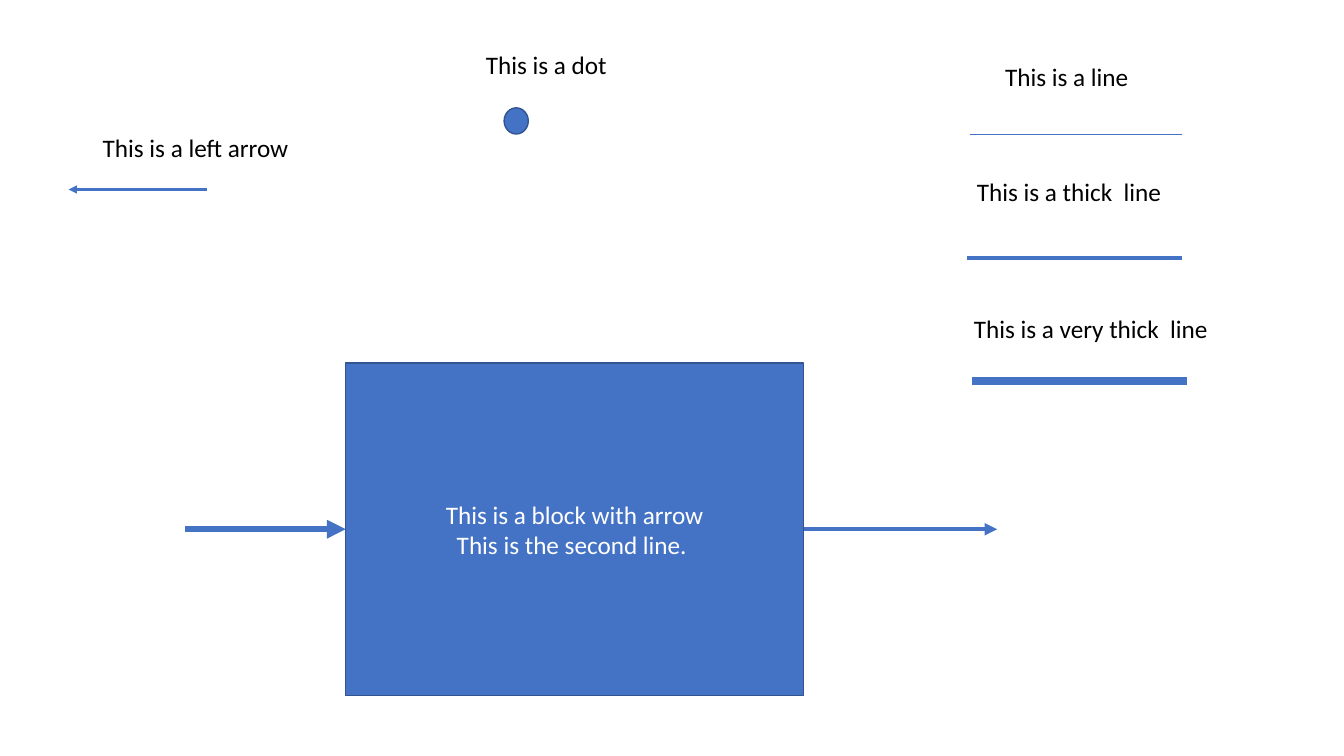
"""Builds a slide of labelled basic shapes: dot, lines, arrows and a block."""
from lxml.etree import SubElement
from pptx import Presentation
from pptx.dml.color import RGBColor
from pptx.enum.shapes import MSO_CONNECTOR, MSO_SHAPE
from pptx.enum.text import MSO_ANCHOR, MSO_AUTO_SIZE, PP_ALIGN
from pptx.oxml.ns import qn
from pptx.util import Inches, Pt

BLUE, EDGE, WHITE, BLACK = "4472C4", "325491", "FFFFFF", "000000"
BLOCK = (3.43, 3.6, 4.54, 3.3)
DOT = (5, 1.07, 0.24, 0.26)
BLOCK_TEXT = ["This is a block with arrow", "This is the second line. "]
LABELS = [
    ("This is a dot", 4.72, 0.44, 1.47),
    ("This is a line", 9.87, 0.56, 1.5),
    ("This is a thick  line", 9.59, 1.7, 2.11),
    ("This is a very thick  line", 9.56, 3.06, 2.61),
    ("This is a left arrow", 0.92, 1.26, 2.13),
]
LINES = [
    (9.62, 11.72, 1.33, 0.5),
    (9.59, 11.72, 2.56, 2.25),
    (9.64, 11.77, 3.78, 6),
]
LEFT_ARROW = (2.05, 0.68, 1.88, 1.5)
IN_ARROW = (1.84, 3.43, 5.25, 4.5)
OUT_ARROW = (7.97, 9.89, 5.25, 3)


def color(code):
    return RGBColor.from_string(code)


def write(frame, texts, code, align):
    for i, text in enumerate(texts):
        para = frame.paragraphs[0] if i == 0 else frame.add_paragraph()
        para.text = text
        para.alignment = align
        para.font.name = "Calibri"
        para.font.size = Pt(18)
        para.font.color.rgb = color(code)


def add_solid(slide, kind, box):
    shape = slide.shapes.add_shape(kind, *map(Inches, box))
    shape.shadow.inherit = False
    shape.fill.solid()
    shape.fill.fore_color.rgb = color(BLUE)
    shape.line.color.rgb = color(EDGE)
    shape.line.width = Pt(1)
    return shape


def add_line(slide, start, end, y, width, arrow=False):
    line = slide.shapes.add_connector(
        MSO_CONNECTOR.STRAIGHT, Inches(start), Inches(y), Inches(end), Inches(y))
    line.line.color.rgb = color(BLUE)
    line.line.width = Pt(width)
    props = line._element.spPr
    if arrow:
        SubElement(props.find(qn("a:ln")), qn("a:tailEnd"), type="triangle")
    SubElement(props, qn("a:effectLst"))
    return line


def add_label(slide, text, left, top, width):
    box = slide.shapes.add_textbox(*map(Inches, (left, top, width, 0.4)))
    frame = box.text_frame
    frame.word_wrap = False
    frame.auto_size = MSO_AUTO_SIZE.SHAPE_TO_FIT_TEXT
    write(frame, [text], BLACK, PP_ALIGN.LEFT)


def main():
    deck = Presentation()
    deck.slide_width, deck.slide_height = Inches(13.33), Inches(7.5)
    slide = deck.slides.add_slide(deck.slide_layouts[6])

    block = add_solid(slide, MSO_SHAPE.RECTANGLE, BLOCK)
    block.text_frame.vertical_anchor = MSO_ANCHOR.MIDDLE
    write(block.text_frame, BLOCK_TEXT, WHITE, PP_ALIGN.CENTER)
    add_line(slide, *OUT_ARROW, arrow=True).begin_connect(block, 3)
    add_line(slide, *IN_ARROW, arrow=True).end_connect(block, 1)

    add_solid(slide, MSO_SHAPE.OVAL, DOT)
    for line in LINES:
        add_line(slide, *line)
    add_line(slide, *LEFT_ARROW, arrow=True)
    for label in LABELS:
        add_label(slide, *label)
    deck.save("out.pptx")


if __name__ == "__main__":
    main()
